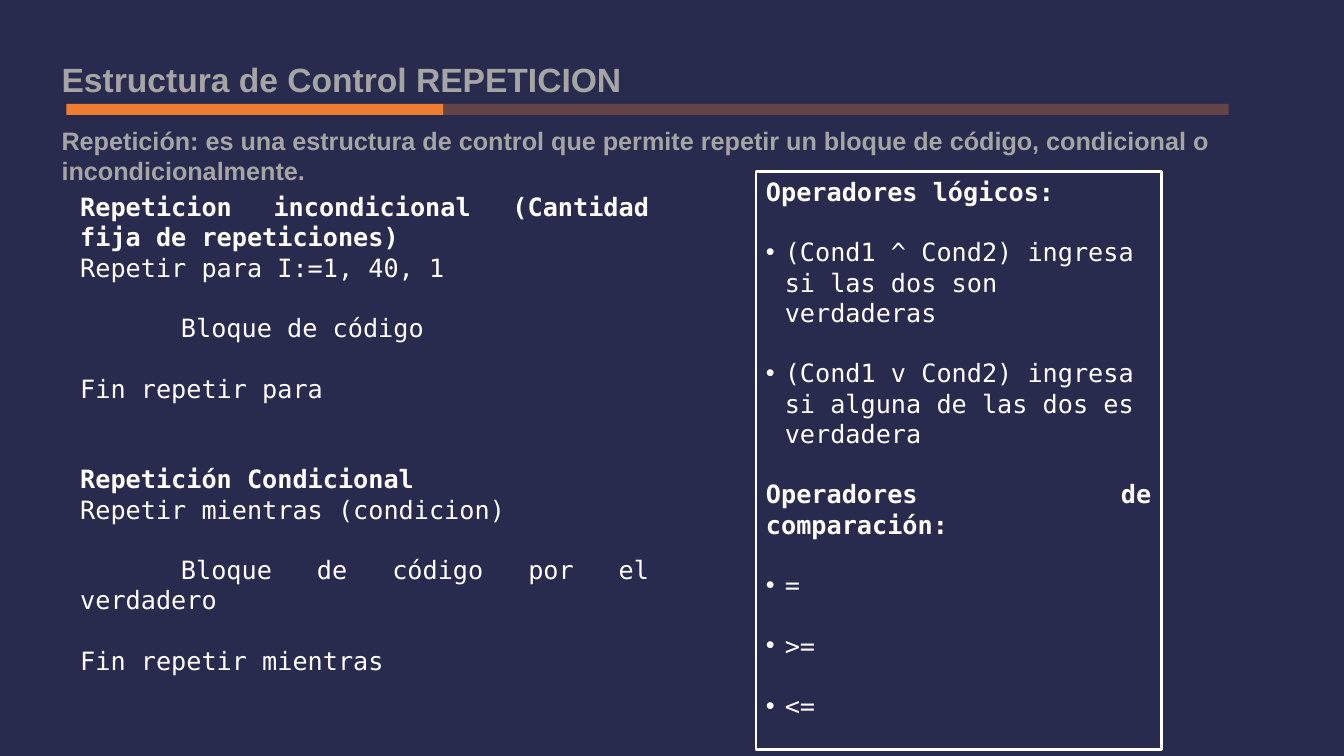
from lxml.etree import SubElement
from pptx import Presentation
from pptx.dml.color import RGBColor
from pptx.enum.shapes import MSO_SHAPE
from pptx.enum.text import MSO_ANCHOR, PP_ALIGN
from pptx.oxml.ns import qn
from pptx.util import Pt

NAVY = RGBColor(0x28, 0x2A, 0x4E)
ORANGE = RGBColor(0xED, 0x7D, 0x31)
GRAY = RGBColor(0xA5, 0xA5, 0xA5)
WHITE = RGBColor(0xFF, 0xFF, 0xFF)
HEADING_FONT = "Arial"
CODE_FONT = "DejaVu Sans Mono"
LINE = 21.6
TAB = 72
BULLET_INDENT = 13.5

REPETITION = [
    ("heading", "Repeticion incondicional (Cantidad fija de repeticiones)", 0),
    ("code", "Repetir para I:=1, 40, 1", 0),
    ("block", "Bloque de código", 1),
    ("code", "Fin repetir para", 1),
    ("heading", "Repetición Condicional", 2),
    ("code", "Repetir mientras (condicion)", 0),
    ("block", "Bloque de código por el verdadero", 1),
    ("code", "Fin repetir mientras", 1),
]
OPERATORS = [
    ("heading", "Operadores lógicos:", 0),
    ("bullet", "(Cond1 ^ Cond2) ingresa si las dos son verdaderas", 1),
    ("bullet", "(Cond1 v Cond2) ingresa si alguna de las dos es verdadera", 1),
    ("heading", "Operadores de comparación:", 1),
    ("bullet", "=", 1),
    ("bullet", ">=", 1),
    ("bullet", "<=", 1),
]


class SlideBuilder:
    def __init__(self, slide):
        self.slide = slide

    def rectangle(self, left, top, width, height, fill=None, alpha=None, line=None):
        shape = self.slide.shapes.add_shape(
            MSO_SHAPE.RECTANGLE, Pt(left), Pt(top), Pt(width), Pt(height))
        shape.shadow.inherit = False
        if fill is None:
            shape.fill.background()
        else:
            shape.fill.solid()
            shape.fill.fore_color.rgb = fill
        if alpha is not None:
            color = shape.fill._xPr.find(".//" + qn("a:srgbClr"))
            SubElement(color, qn("a:alpha"), val=str(alpha * 1000))
        if line is None:
            shape.line.fill.background()
        else:
            shape.line.color.rgb = line
            shape.line.width = Pt(2)
        return shape

    def text_box(self, left, top, width, height):
        shape = self.slide.shapes.add_textbox(Pt(left), Pt(top), Pt(width), Pt(height))
        shape.text_frame.word_wrap = True
        return shape

    def heading(self, left, top, width, height, text, size):
        paragraph = self.text_box(left, top, width, height).text_frame.paragraphs[0]
        paragraph.text = text
        self.format_runs(paragraph, HEADING_FONT, size, GRAY, True)

    def format_runs(self, paragraph, font_name, size, color, bold):
        for run in paragraph.runs:
            run.font.name = font_name
            run.font.size = Pt(size)
            run.font.color.rgb = color
            run.font.bold = bold

    def code_lines(self, shape, lines):
        text_frame = shape.text_frame
        text_frame.word_wrap = True
        text_frame.vertical_anchor = MSO_ANCHOR.TOP
        for index, (kind, text, gap) in enumerate(lines):
            paragraph = text_frame.add_paragraph() if index else text_frame.paragraphs[0]
            paragraph.text = text
            paragraph.alignment = PP_ALIGN.LEFT if kind == "bullet" else PP_ALIGN.JUSTIFY
            if gap:
                paragraph.space_before = Pt(gap * LINE)
            properties = paragraph._p.get_or_add_pPr()
            if kind == "block":
                properties.set("indent", str(Pt(TAB)))
            if kind == "bullet":
                properties.set("marL", str(Pt(BULLET_INDENT)))
                properties.set("indent", str(-Pt(BULLET_INDENT)))
                SubElement(properties, qn("a:buFont"), typeface=HEADING_FONT)
                SubElement(properties, qn("a:buChar"), char="•")
            self.format_runs(paragraph, CODE_FONT, 18, WHITE, kind == "heading")


def main():
    presentation = Presentation()
    presentation.slide_width = Pt(960)
    presentation.slide_height = Pt(540)
    builder = SlideBuilder(presentation.slides.add_slide(presentation.slide_layouts[6]))

    builder.rectangle(0, 0, 960, 540, NAVY)
    builder.heading(36.9, 38.2, 524, 36, "Estructura de Control REPETICION", 24)
    builder.rectangle(47.4, 74.2, 269.4, 7.8, ORANGE)
    builder.rectangle(316.8, 74.2, 560.9, 7.8, ORANGE, alpha=30)
    builder.code_lines(builder.text_box(50.2, 133.2, 420.5, 334), REPETITION)
    builder.heading(
        36.9, 85.7, 861, 51,
        "Repetición: es una estructura de control que permite repetir un bloque "
        "de código, condicional o incondicionalmente.", 18)
    operators_frame = builder.rectangle(540, 122.4, 289.4, 413.3, line=WHITE)
    builder.code_lines(operators_frame, OPERATORS)

    presentation.save("out.pptx")


if __name__ == "__main__":
    main()
